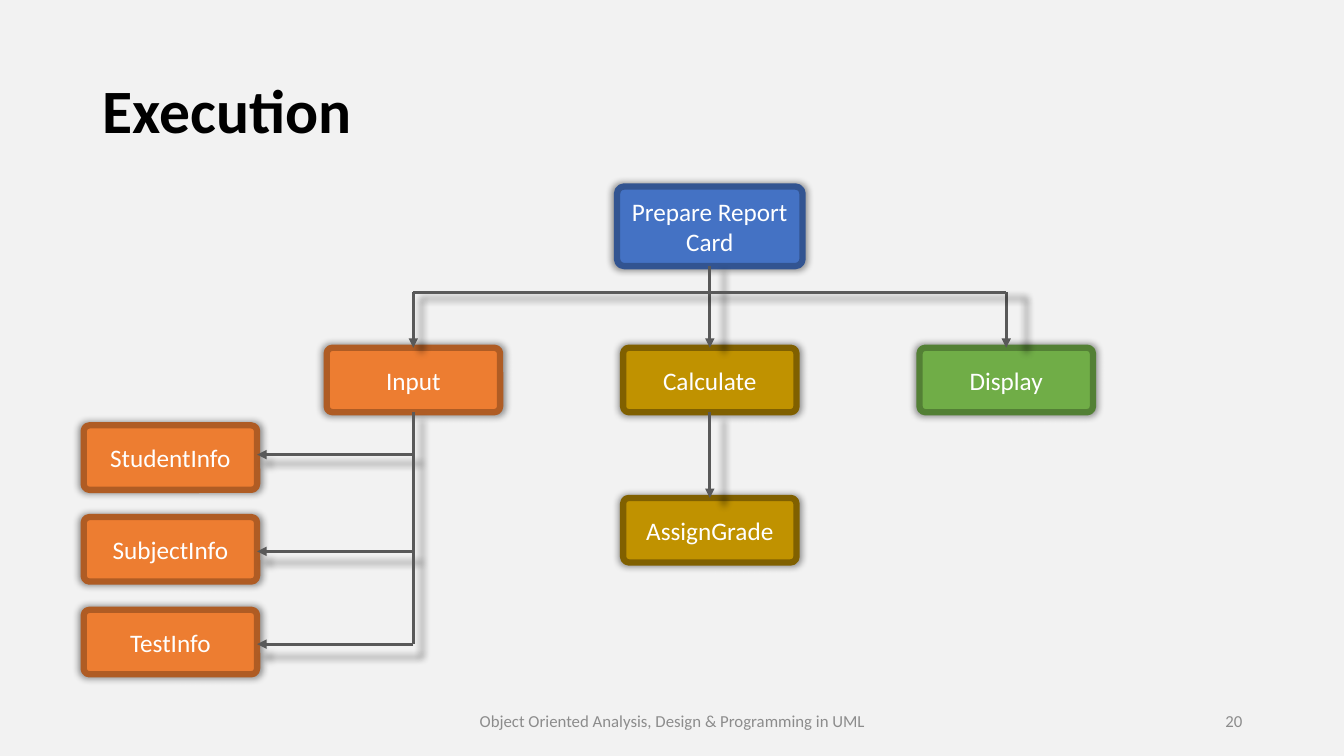
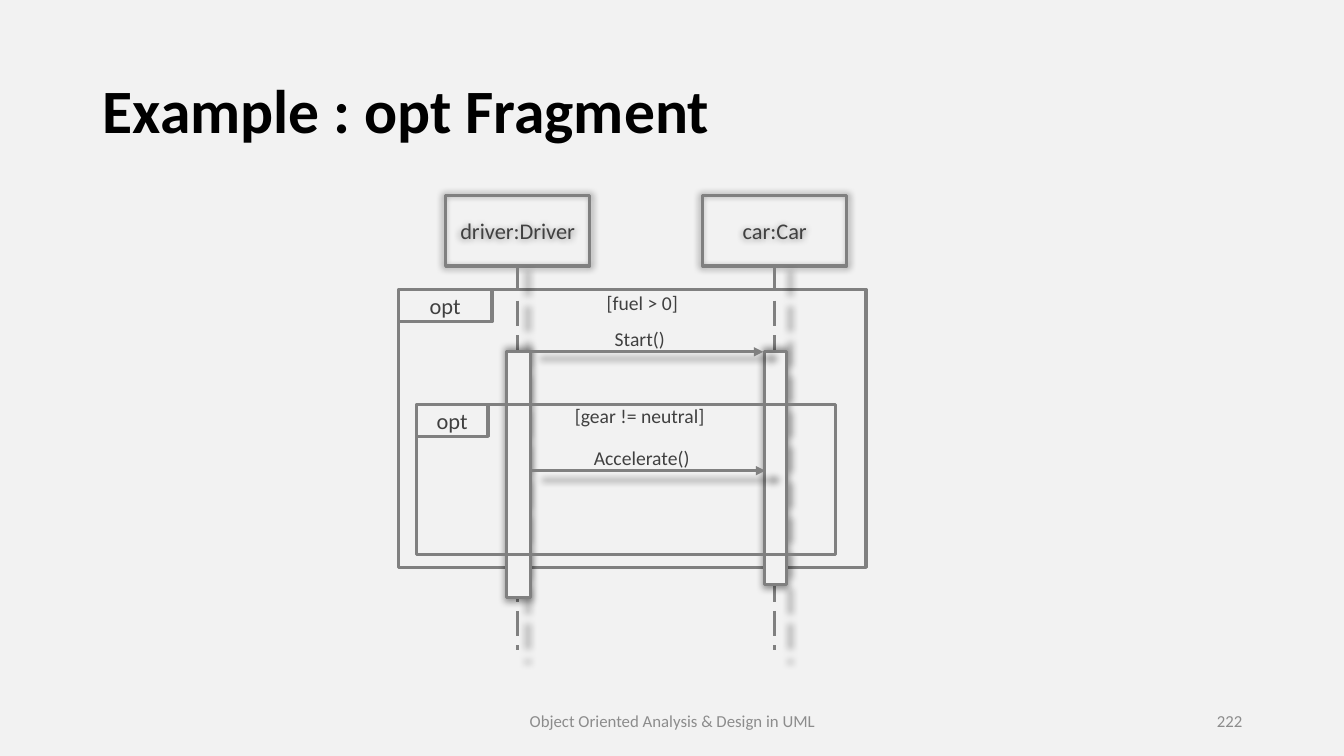
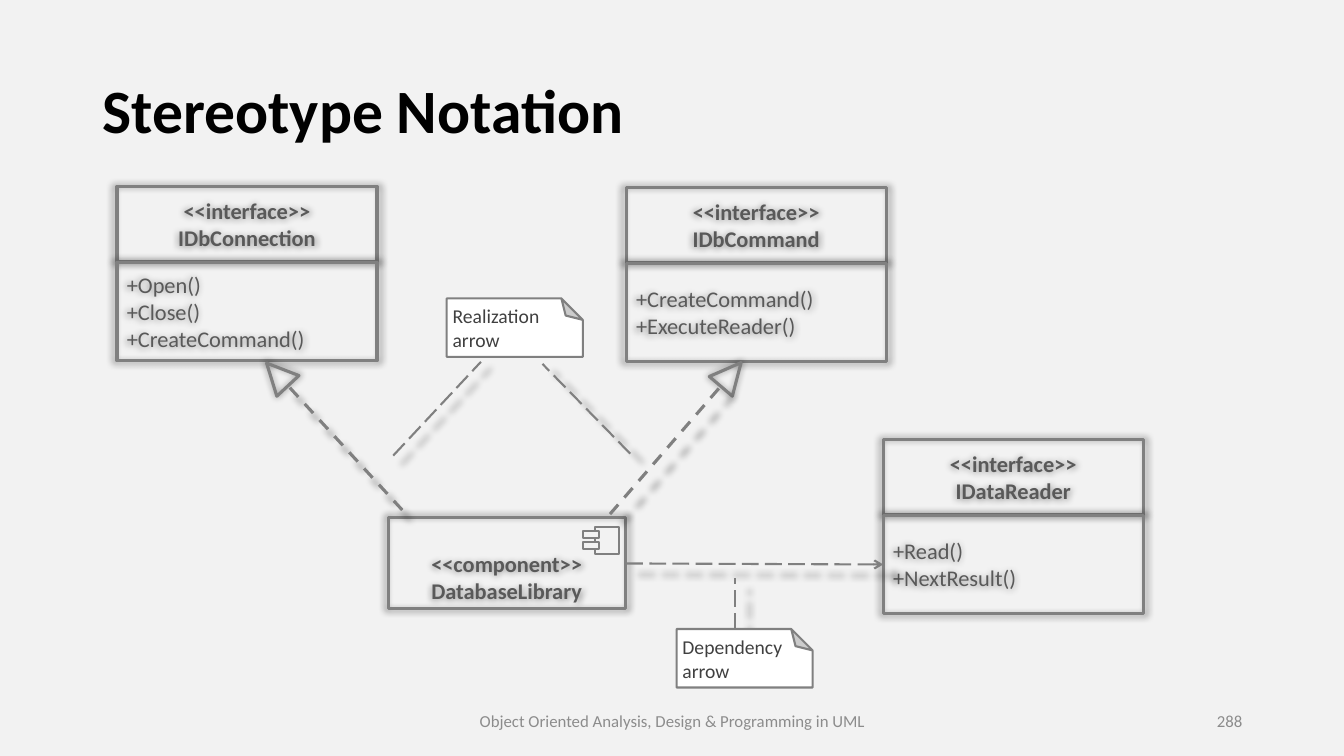
from lxml import etree
from pptx import Presentation
from pptx import util as u
from pptx.dml import color as colors
from pptx.enum import dml, shapes, text
from pptx.oxml import ns

FONT = "Calibri"
BACKGROUND = "F2F2F2"
WHITE = "FFFFFF"
BLACK = "000000"
GREY = "808080"
ARROW_GREY = "595959"
LABEL_GREY = "404040"
FOOTER_GREY = "8C8C8C"
KINDS = {
    "rect": shapes.MSO_SHAPE.RECTANGLE,
    "round": shapes.MSO_SHAPE.ROUNDED_RECTANGLE,
    "triangle": shapes.MSO_SHAPE.ISOSCELES_TRIANGLE,
    "note": shapes.MSO_SHAPE.FOLDED_CORNER,
}
DASHES = {"long": dml.MSO_LINE.LONG_DASH, "short": dml.MSO_LINE.DASH}
ALIGNS = {"left": text.PP_ALIGN.LEFT, "center": text.PP_ALIGN.CENTER, "right": text.PP_ALIGN.RIGHT}
ANCHORS = {
    "top": text.MSO_ANCHOR.TOP,
    "middle": text.MSO_ANCHOR.MIDDLE,
    "bottom": text.MSO_ANCHOR.BOTTOM,
}


def draw(page, kind, at, line=GREY, width=2.25, fill=None, shadow=True, dash=None, head=None):
    lengths = [u.Inches(value) for value in at]
    if kind == "line":
        item = page.shapes.add_connector(shapes.MSO_CONNECTOR.STRAIGHT, *lengths)
    else:
        item = page.shapes.add_shape(KINDS[kind], *lengths)
        if fill:
            item.fill.solid()
            item.fill.fore_color.rgb = colors.RGBColor.from_string(fill)
        else:
            item.fill.background()
    item.line.color.rgb = colors.RGBColor.from_string(line)
    item.line.width = u.Pt(width)
    if dash:
        item.line.dash_style = DASHES[dash]
    properties = item._element.spPr
    if head:
        etree.SubElement(properties.find(ns.qn("a:ln")), ns.qn("a:tailEnd"), type=head)
    effects = etree.SubElement(properties, ns.qn("a:effectLst"))
    if shadow:
        glow = etree.SubElement(effects, ns.qn("a:outerShdw"), blurRad=str(u.Pt(5)),
                                sx="102000", sy="102000", algn="ctr", rotWithShape="0")
        shade = etree.SubElement(glow, ns.qn("a:srgbClr"), val=BLACK)
        etree.SubElement(shade, ns.qn("a:alpha"), val="40000")
    return item


def write(box, lines, size, color, align="center", anchor="middle", bold=False, spacing=None):
    frame = box.text_frame
    frame.word_wrap = True
    frame.vertical_anchor = ANCHORS[anchor]
    font_format = {"name": FONT, "size": u.Pt(size), "bold": bold}
    for index, line in enumerate(lines):
        para = frame.add_paragraph() if index else frame.paragraphs[0]
        para.alignment = ALIGNS[align]
        para.line_spacing = spacing
        span = para.add_run()
        span.text = line
        for name, value in font_format.items():
            setattr(span.font, name, value)
        span.font.color.rgb = colors.RGBColor.from_string(color)


deck = Presentation()
deck.slide_width = u.Inches(13.33)
deck.slide_height = u.Inches(7.5)
backdrop = deck.slide_master.background.fill
backdrop.solid()
backdrop.fore_color.rgb = colors.RGBColor.from_string(BACKGROUND)

PROGRAMMING = "Object Oriented Analysis, Design & Programming in UML"
DESIGN = "Object Oriented Analysis & Design in UML"
pages = []
for title, footer, number in [
    ("Execution", PROGRAMMING, "20"),
    ("Example : opt Fragment", DESIGN, "222"),
    ("Stereotype Notation", PROGRAMMING, "288"),
]:
    page = deck.slides.add_slide(deck.slide_layouts[6])
    pages.append(page)
    for words, at, look in [
        (title, (0.92, 0.4, 11.5, 1.45),
         {"size": 44, "color": BLACK, "align": "left", "bold": True, "spacing": 0.9}),
        (footer, (4.42, 6.95, 4.5, 0.4), {"size": 12, "color": FOOTER_GREY}),
        (number, (9.42, 6.95, 3, 0.4), {"size": 12, "color": FOOTER_GREY, "align": "right"}),
    ]:
        box = page.shapes.add_textbox(*[u.Inches(value) for value in at])
        write(box, [words], **look)

execution, fragment, stereotype = pages

BLUE = ("4472C4", "325491")
ORANGE = ("ED7D31", "AF5C24")
GOLD = ("C09200", "806000")
GREEN = ("70AD47", "538035")
STEP = (1.72, 0.64)
for label, left, top, size, (fill, edge) in [
    ("Prepare Report Card", 6.12, 1.85, (1.84, 0.79), BLUE),
    ("Input", 3.24, 3.45, STEP, ORANGE),
    ("Calculate", 6.18, 3.45, STEP, GOLD),
    ("Display", 9.12, 3.45, STEP, GREEN),
    ("StudentInfo", 0.83, 4.22, STEP, ORANGE),
    ("SubjectInfo", 0.83, 5.13, STEP, ORANGE),
    ("TestInfo", 0.83, 6.05, STEP, ORANGE),
    ("AssignGrade", 6.18, 4.94, STEP, GOLD),
]:
    box = draw(execution, "round", (left, top, *size), edge, 4.5, fill)
    box.adjustments[0] = 0.09
    write(box, [label], 18, WHITE)

INPUT_X, CALCULATE_X, DISPLAY_X = 4.1, 7.04, 9.98
BRANCH_Y = 2.9
for ends, head in [
    ((CALCULATE_X, 2.64, CALCULATE_X, 3.45), "triangle"),
    ((CALCULATE_X, 4.09, CALCULATE_X, 4.94), "triangle"),
    ((DISPLAY_X, BRANCH_Y, DISPLAY_X, 3.45), "triangle"),
    ((INPUT_X, BRANCH_Y, INPUT_X, 3.45), "triangle"),
    ((INPUT_X, BRANCH_Y, DISPLAY_X, BRANCH_Y), None),
    *[((INPUT_X, y, 2.55, y), "triangle") for y in (4.51, 5.47, 6.39)],
    ((INPUT_X, 4.09, INPUT_X, 6.39), None),
]:
    draw(execution, "line", ends, ARROW_GREY, head=head)

OUTER = (3.95, 2.87, 4.64, 2.76)
INNER = (4.13, 4.01, 4.16, 1.49)
draw(fragment, "rect", OUTER, shadow=False)
for name, left, center, bar_left, bar_width, bar_height in [
    ("driver:Driver", 4.42, 5.13, 5.02, 0.24, 2.44),
    ("car:Car", 6.97, 7.68, 7.58, 0.22, 2.31),
]:
    write(draw(fragment, "rect", (left, 1.94, 1.43, 0.7)), [name], 16, LABEL_GREY)
    draw(fragment, "line", (center, 2.64, center, 6.45), dash="long")
    draw(fragment, "rect", (bar_left, 3.49, bar_width, bar_height), fill=BACKGROUND)
draw(fragment, "rect", INNER, shadow=False)

for (left, top, *_), tab_width in [(OUTER, 0.93), (INNER, 0.71)]:
    tab = draw(fragment, "rect", (left, top, tab_width, 0.32), shadow=False)
    write(tab, ["opt"], 16, LABEL_GREY)
for start, end, y in [(5.25, 7.57, 3.49), (5.27, 7.59, 4.67)]:
    draw(fragment, "line", (start, y, end, y), head="triangle")
for label, left, top, width in [
    ("[fuel > 0]", 5.89, 2.84, 0.96),
    ("Start()", 5.37, 3.19, 1.95),
    ("[gear != neutral]", 5.51, 3.96, 1.67),
    ("Accelerate()", 5.39, 4.37, 1.95),
]:
    box = fragment.shapes.add_textbox(*[u.Inches(value) for value in (left, top, width, 0.34)])
    write(box, [label], 14, LABEL_GREY, anchor="top")

for name, left, top, methods in [
    ("IDbConnection", 1.16, 1.85, ["+Open()", "+Close()", "+CreateCommand()"]),
    ("IDbCommand", 6.21, 1.86, ["+CreateCommand()", "+ExecuteReader()"]),
    ("IDataReader", 8.76, 4.36, ["+Read()", "+NextResult()"]),
]:
    heading = draw(stereotype, "rect", (left, top, 2.58, 0.75))
    write(heading, ["<<interface>>", name], 16, ARROW_GREY, bold=True)
    body = draw(stereotype, "rect", (left, top + 0.75, 2.58, 0.98))
    write(body, methods, 16, ARROW_GREY, align="left")

component = draw(stereotype, "rect", (3.85, 5.13, 2.35, 0.91))
write(component, ["<<component>>", "DatabaseLibrary"], 16, ARROW_GREY, anchor="bottom", bold=True)
draw(stereotype, "rect", (5.9, 5.23, 0.24, 0.27), width=1.5, shadow=False)
for top in (5.27, 5.38):
    draw(stereotype, "rect", (5.78, top, 0.16, 0.07), width=1.5, fill=BACKGROUND, shadow=False)

for left, angle, ends in [
    (7.1, 40.5, (6.05, 5.1, 7.15, 3.83)),
    (2.6, 317, (3.99, 5.06, 2.85, 3.82)),
]:
    draw(stereotype, "triangle", (left, 3.56, 0.3, 0.31)).rotation = angle
    draw(stereotype, "line", ends, dash="short")

for ends, head in [
    ((6.21, 5.59, 8.76, 5.6), "arrow"),
    ((3.9, 4.52, 4.77, 3.59), None),
    ((6.25, 4.5, 5.38, 3.61), None),
    ((7.29, 6.25, 7.29, 5.73), None),
]:
    draw(stereotype, "line", ends, width=1.5, dash="long", head=head)

for label, left, top in [("Realization arrow", 4.43, 2.96), ("Dependency arrow", 6.71, 6.24)]:
    note = draw(stereotype, "note", (left, top, 1.35, 0.58), width=1.5, fill=WHITE, shadow=False)
    note.rotation = 180
    properties = note._element.spPr
    properties.find(ns.qn("a:xfrm")).set("flipH", "1")
    guides = properties.find(ns.qn("a:prstGeom")).find(ns.qn("a:avLst"))
    etree.SubElement(guides, ns.qn("a:gd"), name="adj", fmla="val 36600")
    corner = (left - 0.04, top + 0.01, 1.25, 0.57)
    box = stereotype.shapes.add_textbox(*[u.Inches(value) for value in corner])
    write(box, [label], 14, LABEL_GREY, align="left", anchor="top")

deck.save("out.pptx")
